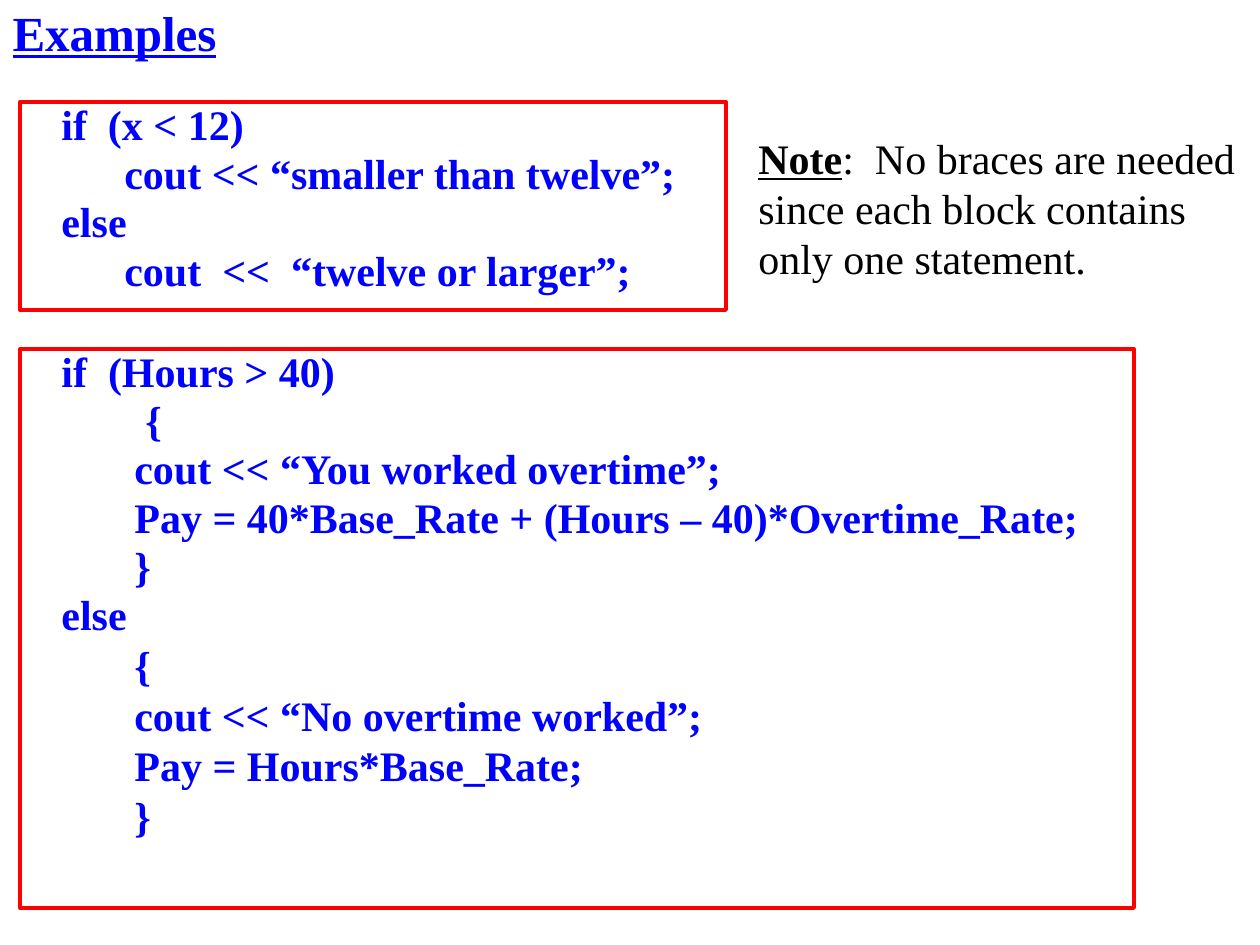
from typing import NamedTuple

from pptx import Presentation
from pptx.dml.color import RGBColor
from pptx.enum.shapes import MSO_SHAPE
from pptx.enum.text import MSO_ANCHOR, MSO_AUTO_SIZE, PP_ALIGN
from pptx.util import Emu, Pt

RECT = MSO_SHAPE.RECTANGLE
TOP, MIDDLE = MSO_ANCHOR.TOP, MSO_ANCHOR.MIDDLE
LEFT = PP_ALIGN.LEFT
FIXED = MSO_AUTO_SIZE.NONE
SCALE = 914400 / 126
FONT = "Times New Roman"
HUES = {"code": "0000FF", "frame": "FF0000", "note": "000000"}


class Box(NamedTuple):
    left: int
    top: int
    width: int
    height: int


class Line(NamedTuple):
    text: str
    indent: int = 29
    tight: bool = True


class Block(NamedTuple):
    box: Box
    lines: list[Line]


BLOCKS = [
    Block(Box(20, 102, 706, 208), [
        Line("if  (x < 12)"),
        Line("cout << “smaller than twelve”;", 92),
        Line("else"),
        Line("cout  <<  “twelve or larger”;", 92),
    ]),
    Block(Box(20, 349, 1114, 559), [
        Line("if  (Hours > 40)"),
        Line("{", 113),
        Line("cout << “You worked overtime”;", 102),
        Line("Pay = 40*Base_Rate + (Hours – 40)*Overtime_Rate;", 102),
        Line("}", 102),
        Line("else"),
        Line("{", 102, False),
        Line("cout << “No overtime worked”;", 102, False),
        Line("Pay = Hours*Base_Rate;", 102, False),
        Line("}", 102, False),
    ]),
]


def px(count: int) -> Emu:
    return Emu(round(count * SCALE))


def hue(name: str) -> RGBColor:
    return RGBColor.from_string(HUES[name])


def style(run, size: int, name: str, bold: bool, under: bool = False) -> None:
    font = run.font
    font.name, font.size = FONT, Pt(size)
    font.bold, font.underline = bold, under
    font.color.rgb = hue(name)


def draw_title(slide, box: Box) -> None:
    title = slide.shapes.title
    title.left, title.top, title.width, title.height = map(px, box)
    frame = title.text_frame
    frame.text = "Examples"
    frame.auto_size, frame.vertical_anchor = FIXED, MIDDLE
    para = frame.paragraphs[0]
    para.alignment = LEFT
    style(para.runs[0], 28, "code", True, True)


def draw_block(slide, block: Block) -> None:
    shape = slide.shapes.add_shape(RECT, *map(px, block.box))
    shape.shadow.inherit = False
    shape.fill.background()
    shape.line.color.rgb = hue("frame")
    shape.line.width = Pt(2.25)
    frame = shape.text_frame
    frame.text = "\n".join(line.text for line in block.lines)
    frame.word_wrap, frame.vertical_anchor = True, TOP
    for para, line in zip(frame.paragraphs, block.lines):
        para.alignment = LEFT
        para._p.get_or_add_pPr().set("marL", str(px(line.indent)))
        if line.tight:
            para.line_spacing, para.space_before = 0.8, Pt(4.8)
        style(para.runs[0], 24, "code", True)


def draw_note(slide, box: Box) -> None:
    frame = slide.shapes.add_textbox(*map(px, box)).text_frame
    frame.word_wrap = True
    para = frame.paragraphs[0]
    parts = [
        ("Note", True),
        (":  No braces are needed since each block contains only one statement.", False),
    ]
    for text, key in parts:
        run = para.add_run()
        run.text = text
        style(run, 24, "note", key, key)


def main() -> None:
    deck = Presentation()
    deck.slide_width, deck.slide_height = px(1260), px(945)
    slide = deck.slides.add_slide(deck.slide_layouts[5])
    draw_title(slide, Box(0, 0, 1071, 63))
    for block in BLOCKS:
        draw_block(slide, block)
    draw_note(slide, Box(746, 126, 514, 164))
    deck.save("out.pptx")


if __name__ == "__main__":
    main()
